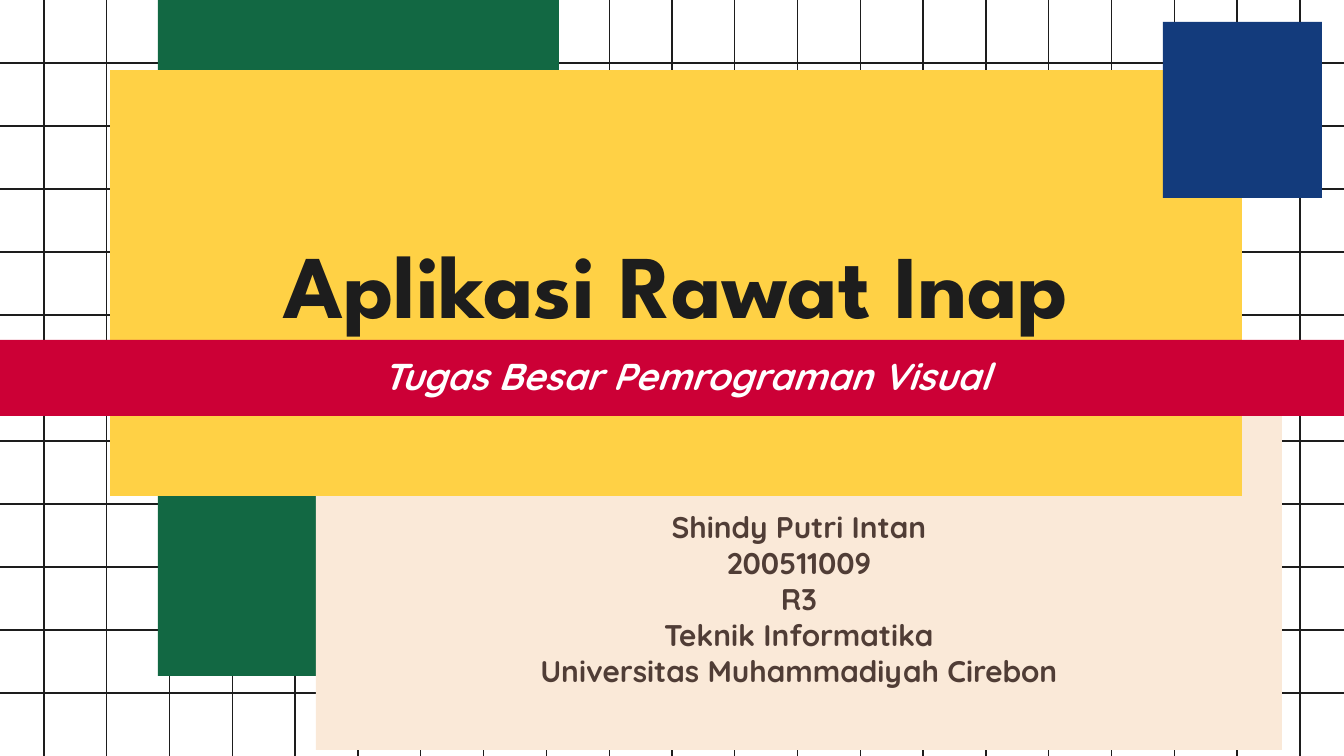
from dataclasses import dataclass

from lxml.etree import SubElement
from pptx import Presentation
from pptx.dml.color import RGBColor
from pptx.enum.shapes import MSO_CONNECTOR as Connector, MSO_SHAPE as Shape
from pptx.enum.text import MSO_ANCHOR as Anchor, PP_ALIGN as Align
from pptx.oxml.ns import qn
from pptx.util import Pt

SCALE = 914400 / 134.4  # EMU per px
WIDTH, HEIGHT = 1344, 756


@dataclass(frozen=True)
class TextStyle:
    font: str
    size: int
    color: str
    italic: bool = False


@dataclass(frozen=True)
class Theme:
    paper: str = "FFFFFF"
    ink: str = "1D1D1D"
    green: str = "126843"
    cream: str = "FAE9D8"
    yellow: str = "FFD145"
    red: str = "CC0036"
    blue: str = "133B7C"
    grid_width: float = 0.75
    title: TextStyle = TextStyle("League Spartan", 48, "1D1D1D")
    subtitle: TextStyle = TextStyle("Quicksand", 20, "FFFFFF", True)
    details: TextStyle = TextStyle("Quicksand", 16, "503D36")


THEME = Theme()


def px(length):
    return round(length * SCALE)


def rgb(color):
    return RGBColor.from_string(color)


def add_grid_line(slide, x1, y1, x2, y2):
    rule = slide.shapes.add_connector(
        Connector.STRAIGHT, px(x1), px(y1), px(x2), px(y2))
    rule.line.color.rgb = rgb(THEME.ink)
    rule.line.width = Pt(THEME.grid_width)
    SubElement(rule._element.spPr, qn("a:effectLst"))


def add_grid(slide):
    for row in range(1, 12):
        y = HEIGHT * row / 12
        add_grid_line(slide, 0, y, WIDTH, y)
    first, last, gaps = 44, 1300, 20
    for column in range(gaps + 1):
        x = first + (last - first) * column / gaps
        add_grid_line(slide, x, 0, x, HEIGHT)


def add_block(slide, left, top, width, height, color):
    block = slide.shapes.add_shape(
        Shape.RECTANGLE, px(left), px(top), px(width), px(height))
    block.shadow.inherit = False
    block.fill.solid()
    block.fill.fore_color.rgb = rgb(color)
    block.line.fill.background()
    return block


def write(block, lines, style, anchor=Anchor.MIDDLE, side=13, top=13):
    frame = block.text_frame
    frame.word_wrap = True
    frame.vertical_anchor = anchor
    frame.margin_left = frame.margin_right = px(side)
    frame.margin_top, frame.margin_bottom = px(top), px(13)
    for index, line in enumerate(lines):
        paragraph = frame.add_paragraph() if index else frame.paragraphs[0]
        paragraph.alignment = Align.CENTER
        run = paragraph.add_run()
        run.text = line
        font = run.font
        font.name, font.size = style.font, Pt(style.size)
        font.bold, font.italic = True, style.italic
        font.color.rgb = rgb(style.color)


def main():
    prs = Presentation()
    prs.slide_width, prs.slide_height = px(WIDTH), px(HEIGHT)
    slide = prs.slides.add_slide(prs.slide_layouts[6])
    slide.background.fill.solid()
    slide.background.fill.fore_color.rgb = rgb(THEME.paper)

    # Squared paper and the green column on it
    add_grid(slide)
    add_block(slide, 158, 0, 401, 676, THEME.green)

    # Author details, set low to clear the title panel
    details = add_block(slide, 316, 411, 966, 339, THEME.cream)
    write(details, [
        "Shindy Putri Intan",
        "200511009",
        "R3",
        "Teknik Informatika",
        "Universitas Muhammadiyah Cirebon",
    ], THEME.details, side=0, top=49)

    # Title panel
    title = add_block(slide, 110, 70, 1132, 426, THEME.yellow)
    write(title, ["Aplikasi Rawat Inap"], THEME.title)

    # Subtitle band
    subtitle = add_block(slide, 0, 340, 1373, 76, THEME.red)
    write(subtitle, ["Tugas Besar Pemrograman Visual"], THEME.subtitle,
          anchor=Anchor.TOP)

    # Corner accent
    add_block(slide, 1163, 22, 159, 176, THEME.blue)

    prs.save("out.pptx")


if __name__ == "__main__":
    main()
